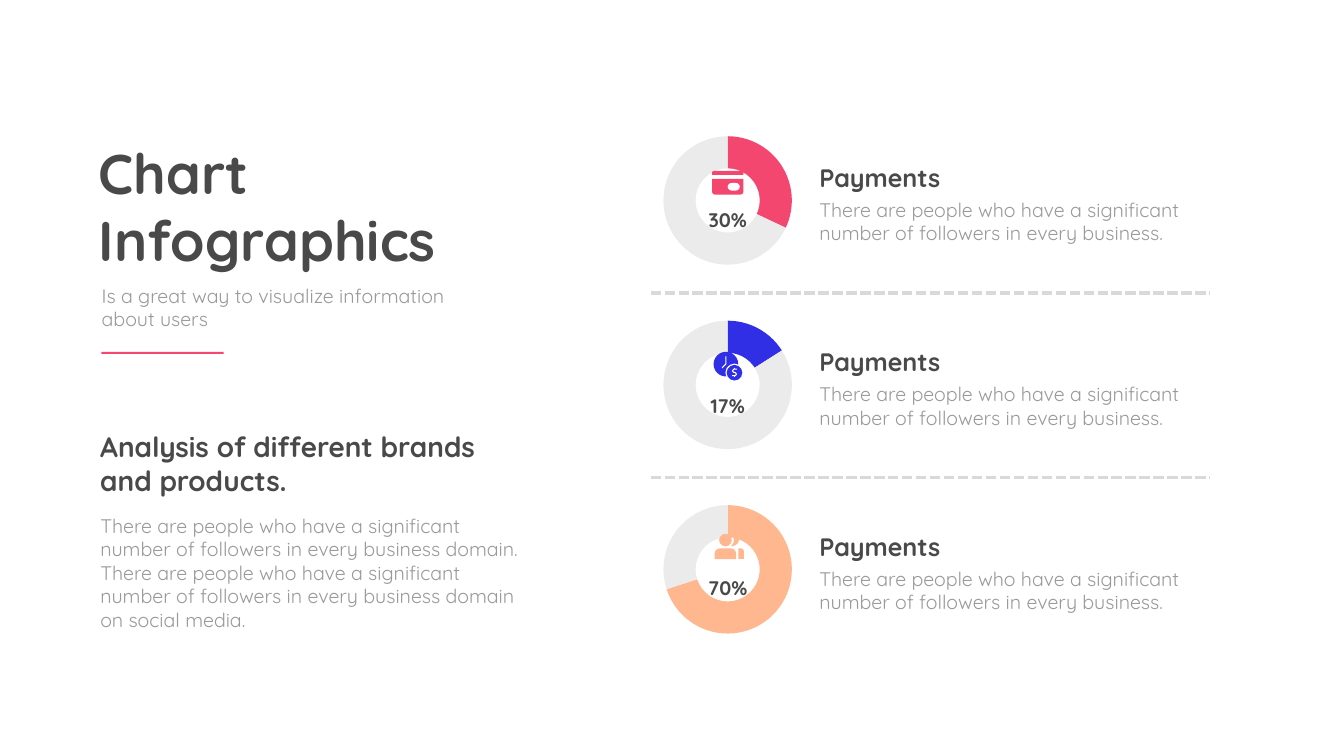
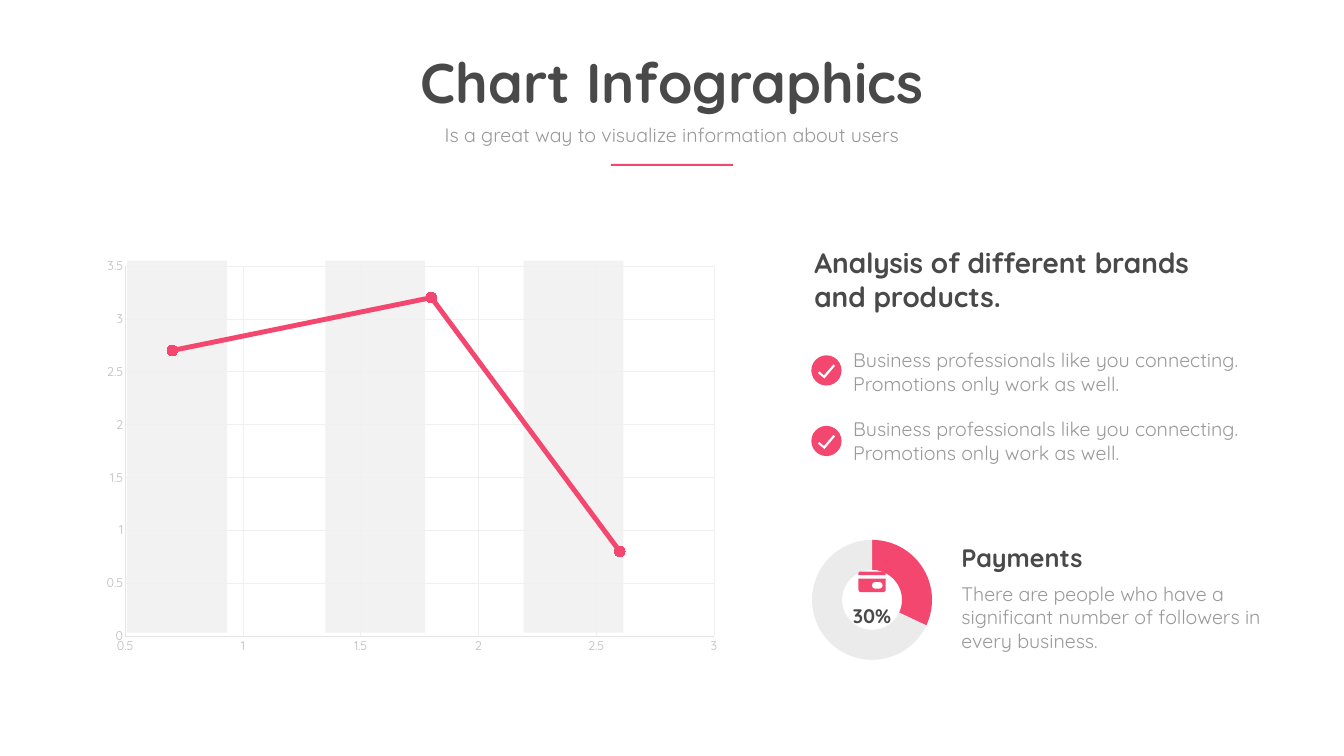
from lxml import etree
from pptx import Presentation
from pptx.chart.data import CategoryChartData, XyChartData
from pptx.dml.color import RGBColor
from pptx.enum.chart import XL_CHART_TYPE, XL_MARKER_STYLE, XL_TICK_MARK
from pptx.enum.dml import MSO_LINE
from pptx.enum.shapes import MSO_CONNECTOR, MSO_SHAPE
from pptx.enum.text import MSO_ANCHOR, MSO_AUTO_SIZE, PP_ALIGN
from pptx.oxml.ns import qn
from pptx.util import Inches, Pt

RECT, OVAL, MOON = MSO_SHAPE.RECTANGLE, MSO_SHAPE.OVAL, MSO_SHAPE.MOON
PILL = MSO_SHAPE.ROUNDED_RECTANGLE
ROUND_TOP = MSO_SHAPE.ROUND_2_SAME_RECTANGLE
ROUND_CORNER = MSO_SHAPE.ROUND_1_RECTANGLE
LEFT, CENTER = PP_ALIGN.LEFT, PP_ALIGN.CENTER
hex_color = RGBColor.from_string

FONT = "Quicksand"
DARK, GREY, WHITE = "494949", "999999", "FFFFFF"
PINK, BLUE, PEACH = "F3476F", "302FE5", "FFB78F"
RING, BAND, DASH = "EBEBEB", "F2F2F2", "D9D9D9"
AXIS_TEXT, AXIS_LINE, GRID_LINE = "BDBDBD", "E6E6E6", "F0F0F0"

STYLES = {
    "title": {"size": Pt(80), "bold": True, "color": DARK},
    "heading": {"size": Pt(40), "bold": True, "color": DARK},
    "caption": {"size": Pt(36), "bold": True, "color": DARK},
    "percent": {"size": Pt(28), "bold": True, "color": DARK},
    "body": {"size": Pt(28), "bold": False, "color": GREY},
}

# All positions are columns and rows of square cells, 60 rows to the slide.
deck = Presentation()
deck.slide_width, deck.slide_height = Inches(26.67), Inches(15)
CELL = deck.slide_height // 60
LAYOUT = deck.slide_layouts[1]


def add_text(page, at, text, style, align=LEFT, box=None, gap=0):
    """Write text into a placeholder, or a new text box, at (col, row, cols, rows)."""
    area = [round(cells * CELL) for cells in at]
    if box is None:
        box = page.shapes.add_textbox(*area)
    for name, value in zip(("left", "top", "width", "height"), area):
        setattr(box, name, value)
    frame = box.text_frame
    for name, value in {"word_wrap": True, "auto_size": MSO_AUTO_SIZE.NONE,
                        "vertical_anchor": MSO_ANCHOR.TOP}.items():
        setattr(frame, name, value)
    for index, line in enumerate(text.split("\n")):
        para = frame.add_paragraph() if index else frame.paragraphs[0]
        props = para._p.get_or_add_pPr()
        props.set("marL", "0")
        props.set("indent", "0")
        etree.SubElement(props, qn("a:buNone"))
        para.alignment = align
        para.space_before = Pt(gap if index else 0)
        span = para.add_run()
        span.text = line
        span.font.name = FONT
        span.font.size = STYLES[style]["size"]
        span.font.bold = STYLES[style]["bold"]
        span.font.color.rgb = hex_color(STYLES[style]["color"])


def add_block(page, kind, at, color, rotation=0, rounding=None):
    block = page.shapes.add_shape(kind, *[round(cells * CELL) for cells in at])
    block.shadow.inherit = False
    block.fill.solid()
    block.fill.fore_color.rgb = hex_color(color)
    block.line.fill.background()
    block.rotation = rotation
    if rounding is not None:
        block.adjustments[0] = rounding


# Icon parts: kind, cells from the ring's centre line and the icon's top,
# rotation, rounding, and a colour where it differs from the accent.
WALLET = [
    (ROUND_TOP, (-1.24, 0, 2.48, 0.32), 0, 0.5, None),
    (ROUND_TOP, (-1.24, 0.64, 2.48, 1.24), 180, 0.18, None),
    (PILL, (0, 0.96, 0.96, 0.6), 0, 0.5, WHITE),
]
CLOCK = [
    (OVAL, (-1.12, 0, 1.96, 1.96), 0, None, None),
    (OVAL, (-0.18, 0.94, 1.44, 1.44), 0, None, WHITE),
    (OVAL, (-0.08, 1.04, 1.24, 1.24), 0, None, None),
]
PEOPLE = [
    (MOON, (0.24, 0, 0.66, 1), 180, 0.6, None),
    (ROUND_CORNER, (0.84, 1.16, 0.44, 0.84), 0, 0.5, None),
    (OVAL, (-0.68, 0, 1, 1), 0, None, None),
    (ROUND_TOP, (-1.04, 1.16, 1.72, 0.86), 0, 0.5, None),
]

# Shared title block
ANALYSIS = "Analysis of different brands and products."
SUBTITLE = "Is a great way to visualize information about users"
rings_page, curve_page = [deck.slides.add_slide(LAYOUT) for _ in range(2)]
HEADERS = [
    (rings_page, LEFT, (7.44, 10.76, 29.36, 11.16), (7.68, 22.32, 30.44, 4.16),
     (8.04, 27.92), (7.56, 33.92, 32, 5.8)),
    (curve_page, CENTER, (27.52, 3.6, 51.64, 5.8), (34.2, 9.52, 38.24, 2.28),
     (48.48, 13), (64.24, 19.28, 32, 5.8)),
]
for page, align, title_at, subtitle_at, rule_at, heading_at in HEADERS:
    add_text(page, title_at, "Chart Infographics", "title", align, page.shapes.title)
    add_text(page, subtitle_at, SUBTITLE, "body", align)
    add_block(page, RECT, (*rule_at, 9.72, 0.16), PINK)
    add_text(page, heading_at, ANALYSIS, "heading")

# Body text
FOLLOWERS = "There are people who have a significant number of followers in every business"
add_text(rings_page, (7.56, 40.56, 34.48, 9.84),
         f"{FOLLOWERS} domain. {FOLLOWERS} domain on social media.",
         "body", box=rings_page.placeholders[1])
ADVICE = "Business professionals like you connecting. Promotions only work as well."
add_text(curve_page, (67.32, 27.44, 33.08, 9.64), f"{ADVICE}\n{ADVICE}",
         "body", box=curve_page.placeholders[1], gap=31)

# Dashed dividers between the rings
RING_PITCH = 14.64
for index in range(2):
    row = round((23.24 + index * RING_PITCH) * CELL)
    divider = rings_page.shapes.add_connector(
        MSO_CONNECTOR.STRAIGHT, round(51.64 * CELL), row, 96 * CELL, row)
    divider.line.color.rgb = hex_color(DASH)
    divider.line.width = Pt(5)
    divider.line.dash_style = MSO_LINE.SQUARE_DOT
    etree.SubElement(divider._element.spPr, qn("a:effectLst"))

# Bands behind the curve
for index in range(3):
    add_block(curve_page, RECT, (10.08 + index * 15.74, 20.68, 7.92, 29.52), BAND)

# Curve
points = XyChartData()
curve_data = points.add_series("Series 1")
for x, y in ((0.7, 2.7), (1.8, 3.2), (2.6, 0.8)):
    curve_data.add_data_point(x, y)
curve_chart = curve_page.shapes.add_chart(
    XL_CHART_TYPE.XY_SCATTER_SMOOTH,
    *[round(cells * CELL) for cells in (7.4, 19.8, 50.8, 32.64)], points).chart
curve = curve_chart.plots[0].series[0]
curve.smooth = True
curve.format.line.color.rgb = hex_color(PINK)
curve.format.line.width = Pt(7)
curve.marker.style = XL_MARKER_STYLE.CIRCLE
curve.marker.size = 15
curve.marker.format.fill.solid()
curve.marker.format.fill.fore_color.rgb = hex_color(PINK)
curve.marker.format.line.color.rgb = hex_color(PINK)
for axis, low, high in ((curve_chart.category_axis, 0.5, 3),
                        (curve_chart.value_axis, 0, 3.5)):
    for name, value in {"minimum_scale": low, "maximum_scale": high, "major_unit": 0.5,
                        "has_major_gridlines": True, "has_title": False,
                        "major_tick_mark": XL_TICK_MARK.NONE,
                        "minor_tick_mark": XL_TICK_MARK.NONE}.items():
        setattr(axis, name, value)
    for line, color in ((axis.format.line, AXIS_LINE),
                        (axis.major_gridlines.format.line, GRID_LINE)):
        line.color.rgb = hex_color(color)
        line.width = Pt(0.75)
    labels = axis.tick_labels
    labels.number_format, labels.number_format_is_linked = "General", False
    labels.font.name, labels.font.size = FONT, Pt(18)
    labels.font.color.rgb = hex_color(AXIS_TEXT)
chart_layouts = [(curve_chart, FONT, 18, (0.05, 0.04, 0.92, 0.9))]

# Rings: page, left, top, size, value, accent, label, label drop from the centre,
# icon, icon rise above the centre, icon scale, caption area, text area
RINGS = [
    (rings_page, 52.6, 10.76 + index * RING_PITCH, 10.32, *ring, 1,
     (64.64, 12.68 + index * RING_PITCH, 22.84, 2.84),
     (64.64, 15.48 + index * RING_PITCH, 33.12, 4.16))
    for index, ring in enumerate([
        (32, PINK, "30%", 0.4, WALLET, 2.36),
        (16, BLUE, "17%", 0.52, CLOCK, 2.64),
        (70, PEACH, "70%", 0.32, PEOPLE, 2.84),
    ])
]
RINGS.append((curve_page, 64.4, 42.8, 9.64, 32, PINK, "30%", 0.14, WALLET, 2.26, 0.87,
              (75.92, 42.88, 19.64, 2.44), (75.92, 45.96, 24.68, 6.04)))
for (page, left, top, size, value, accent, label, drop, icon, rise, scale,
     caption_at, text_at) in RINGS:
    center, middle = left + size / 2, top + size / 2
    shares = CategoryChartData()
    shares.categories = ["1", "2"]
    shares.add_series("Series 1", (value, 100 - value))
    ring_chart = page.shapes.add_chart(
        XL_CHART_TYPE.DOUGHNUT,
        *[round(cells * CELL) for cells in (left, top, size, size)], shares).chart
    plot = ring_chart.plots[0]
    plot.vary_by_categories = True
    plot._element.find(qn("c:holeSize")).set("val", "82")
    for index, color in enumerate((accent, RING)):
        slice_format = plot.series[0].points[index].format
        slice_format.fill.solid()
        slice_format.fill.fore_color.rgb = hex_color(color)
        slice_format.line.fill.background()
    chart_layouts.append((ring_chart, "Calibri", 10, (0.005, 0.005, 0.99, 0.988)))

    for kind, (x, y, cols, rows), rotation, rounding, color in icon:
        area = (center + x * scale, middle - rise + y * scale, cols * scale, rows * scale)
        add_block(page, kind, area, color or accent, rotation, rounding)
    add_text(page, (center - 3.44, middle + drop, 6.88, 2.28), label, "percent", CENTER)
    add_text(page, caption_at, "Payments", "caption")
    add_text(page, text_at, f"{FOLLOWERS}.", "body")

# Outlines are in hundredths of a cell.
# Clock hands and dollar sign, from the clock's top on the ring's centre line
CLOCK_STROKES = [
    [(-14, 36), (-14, 96), (-44, 128)],
    [(74, 138), (48, 138), (38, 152), (48, 164), (60, 164), (70, 178), (60, 190), (36, 190)],
    [(54, 126), (54, 138)],
    [(54, 190), (54, 202)],
]
TICK = [(176, 72), (188, 84), (104, 184), (52, 140), (64, 128), (100, 160)]
TICK_COLUMN, TICK_SIZE = 64.4, 2.4
outlines = [(rings_page, 5776, 2792, stroke, False) for stroke in CLOCK_STROKES]
for row in (28.2, 33.8):
    add_block(curve_page, OVAL, (TICK_COLUMN, row, TICK_SIZE, TICK_SIZE), PINK)
    outlines.append((curve_page, round(TICK_COLUMN * 100), round(row * 100), TICK, True))
for page, left, top, corners, closed in outlines:
    corners = [(left + x, top + y) for x, y in corners]
    builder = page.shapes.build_freeform(*corners[0], scale=CELL / 100)
    builder.add_line_segments(corners[1:], close=closed)
    outline = builder.convert_to_shape()
    outline.shadow.inherit = False
    if closed:
        outline.fill.solid()
        outline.fill.fore_color.rgb = hex_color(WHITE)
        outline.line.fill.background()
    else:
        outline.fill.background()
        outline.line.color.rgb = hex_color(WHITE)
        outline.line.width = Pt(1.5)

# Chart fonts and plot areas
for chart, font, size, shares in chart_layouts:
    chart.has_title = chart.has_legend = False
    chart.font.name, chart.font.size = font, Pt(size)
    chart.font.color.rgb = hex_color(GREY)
    plot_area = chart._chartSpace.chart.plotArea
    for old in plot_area.findall(qn("c:layout")):
        plot_area.remove(old)
    layout = etree.Element(qn("c:layout"))
    manual = etree.SubElement(layout, qn("c:manualLayout"))
    settings = [("layoutTarget", "inner"), ("xMode", "edge"), ("yMode", "edge"),
                *zip("xywh", shares)]
    for name, value in settings:
        etree.SubElement(manual, qn(f"c:{name}")).set("val", str(value))
    plot_area.insert(0, layout)

deck.save("out.pptx")
